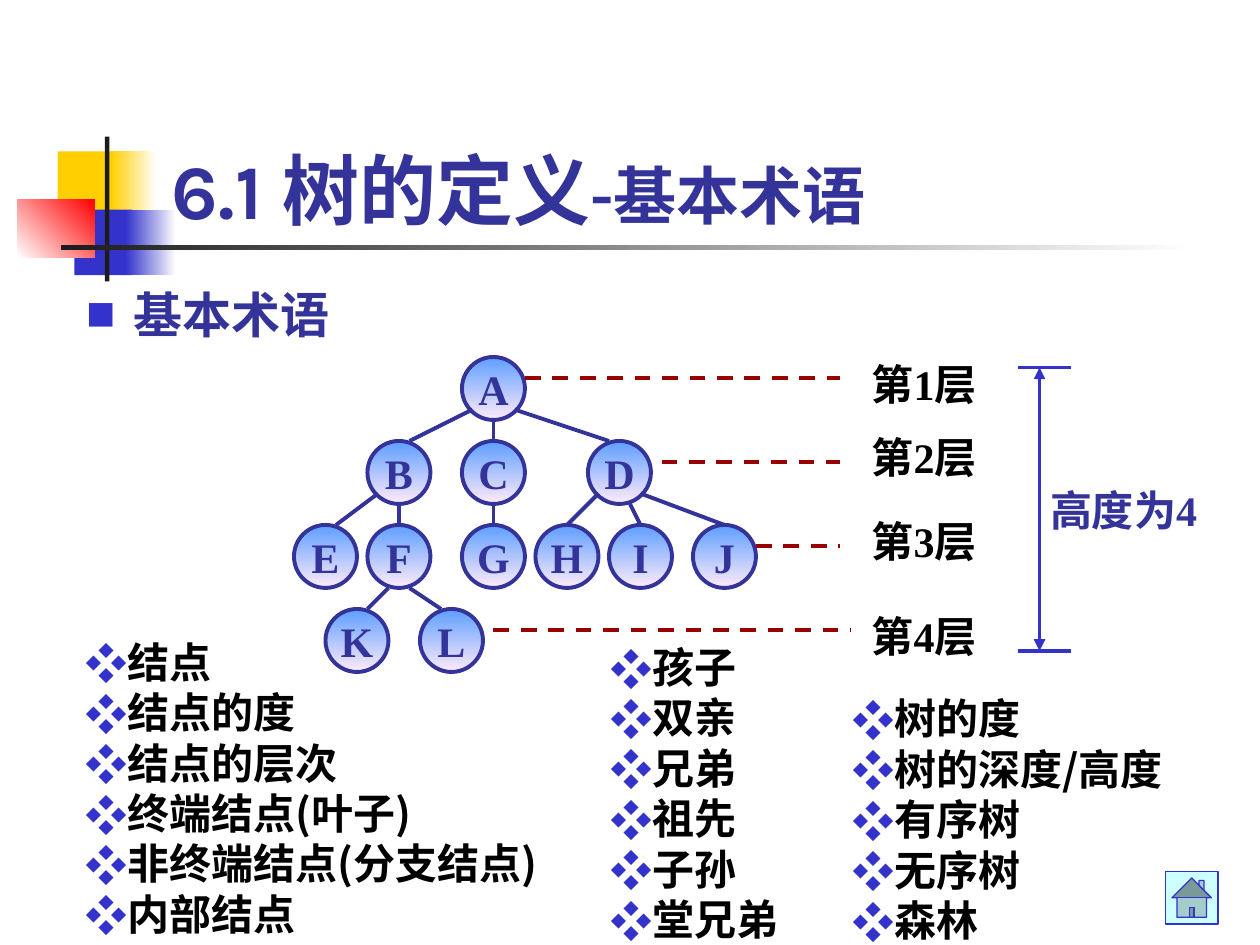
from lxml import etree
from pptx import Presentation
from pptx.dml.color import RGBColor
from pptx.enum.dml import MSO_LINE
from pptx.enum.shapes import MSO_CONNECTOR, MSO_SHAPE
from pptx.enum.text import MSO_ANCHOR, MSO_AUTO_SIZE, PP_ALIGN
from pptx.oxml.ns import qn
from pptx.util import Pt

RECT, OVAL, HOME = MSO_SHAPE.RECTANGLE, MSO_SHAPE.OVAL, MSO_SHAPE.ACTION_BUTTON_HOME
STRAIGHT, DASH = MSO_CONNECTOR.STRAIGHT, MSO_LINE.DASH
TOP, MIDDLE, BOTTOM = MSO_ANCHOR.TOP, MSO_ANCHOR.MIDDLE, MSO_ANCHOR.BOTTOM
LEFT, CENTER = PP_ALIGN.LEFT, PP_ALIGN.CENTER
NO_FIT = MSO_AUTO_SIZE.NONE

COLORS = {
    "white": "FFFFFF", "black": "000000", "ink": "1C1C1C", "navy": "333399",
    "blue": "3333CC", "yellow": "FFCF01", "red": "FF0000", "lead": "990000",
    "sky": "5E9EFF", "blush": "FFEBFA", "ice": "CCFFFF",
}
TITLE_FONT, LABEL_FONT, LIST_FONT = "Karla", "Times New Roman", "Noto Sans CJK SC"

NODE_SIZE = 36
NODES = {
    "A": (96, 0), "B": (42, 48), "C": (96, 48), "D": (168, 48),
    "E": (0, 96), "F": (42, 96), "G": (96, 96), "H": (138, 96),
    "I": (180, 96), "J": (228, 96), "K": (18, 144), "L": (72, 144),
}
EDGES = [
    (102, 30, 66, 48), (114, 36, 114, 48), (126, 30, 180, 48),
    (48, 78, 24, 96), (60, 84, 60, 96), (114, 84, 114, 96),
    (174, 78, 156, 96), (192, 84, 198, 96), (198, 78, 246, 96),
    (54, 132, 42, 144), (66, 132, 84, 144),
]
LEVELS = [(18, 198, 0), (96, 198, 42), (150, 198, 90), (0, 204, 144)]
TERMS = [
    ((42, 372, 264, 156), ["结点", "结点的度", "结点的层次", "终端结点(叶子)",
                           "非终端结点(分支结点)", "内部结点"]),
    ((342, 366, 90, 174), ["孩子", "双亲", "兄弟", "祖先", "子孙", "堂兄弟"]),
    ((480, 396, 186, 144), ["树的度", "树的深度/高度", "有序树", "无序树", "森林"]),
]


def color(name):
    return RGBColor.from_string(COLORS[name])


def add_shape(page, kind, box, fill, angle=0, line=None, width=0):
    shape = page.shapes.add_shape(kind, *map(Pt, box))
    shape.shadow.inherit = False
    if isinstance(fill, tuple):
        shape.fill.gradient()
        shape.fill.gradient_angle = angle
        for stop, name in zip(shape.fill.gradient_stops, fill):
            stop.color.rgb = color(name)
    else:
        shape.fill.solid()
        shape.fill.fore_color.rgb = color(fill)
    if line:
        shape.line.color.rgb = color(line)
        shape.line.width = Pt(width)
    else:
        shape.line.fill.background()
    return shape


def add_line(page, ends, name, dash=None, arrows=False):
    line = page.shapes.add_connector(STRAIGHT, *map(Pt, ends))
    line.line.color.rgb = color(name)
    line.line.width = Pt(2.25)
    if dash:
        line.line.dash_style = dash
    if arrows:
        for tag in ("a:headEnd", "a:tailEnd"):
            etree.SubElement(line.line._get_or_add_ln(), qn(tag), type="triangle")
    etree.SubElement(line._element.spPr, qn("a:effectLst"))


def set_font(font, name, size, tint):
    font.name, font.size, font.bold = name, Pt(size), True
    font.color.rgb = color(tint)


def add_bullet(para, mark, indent=0, percent=100):
    props = para._p.get_or_add_pPr()
    props.set("marL", str(Pt(indent)))
    props.set("indent", str(-Pt(indent)))
    tint = etree.SubElement(props, qn("a:buClr"))
    etree.SubElement(tint, qn("a:srgbClr"), val=COLORS["blue"])
    etree.SubElement(props, qn("a:buSzPct"), val=str(percent * 1000))
    etree.SubElement(props, qn("a:buFont"), typeface=LIST_FONT)
    etree.SubElement(props, qn("a:buChar"), char=mark)


def write_lines(shape, lines, font, tint, align=CENTER, mark=None):
    frame = shape.text_frame
    frame.word_wrap = False
    frame.vertical_anchor = MIDDLE
    frame.text = "\n".join(lines)
    for para in frame.paragraphs:
        para.alignment = align
        if mark:
            add_bullet(para, mark)
        set_font(para.font, font, 24, tint)


def place(holder, box, anchor):
    holder.left, holder.top, holder.width, holder.height = map(Pt, box)
    frame = holder.text_frame
    frame.auto_size = NO_FIT
    frame.vertical_anchor = anchor
    return frame.paragraphs[0]


def draw_emblem(page, left, top):
    parts = [
        ((23, 8.5, 34.5, 37.5), "yellow", 0),
        ((53.5, 8.5, 26, 37.5), ("yellow", "white"), 0),
        ((32.5, 41.75, 33, 37.5), "blue", 0),
        ((62, 41.75, 28.5, 37.5), ("blue", "white"), 0),
        ((0, 36, 44.25, 33.25), ("white", "red"), 45),
        ((50, 0, 2.5, 82.75), "ink", 0),
        ((25, 62.25, 648, 2.5), ("ink", "white"), 0),
    ]
    for (x, y, width, height), fill, angle in parts:
        add_shape(page, RECT, (left + x, top + y, width, height), fill, angle)


def write_title(page, box):
    para = place(page.shapes.title, box, BOTTOM)
    para.alignment = LEFT
    for words, size in (("6.1 树的定义", 44), ("-基本术语", 36)):
        span = para.add_run()
        span.text = words
        set_font(span.font, TITLE_FONT, size, "navy")


def write_body(page, box):
    para = place(page.placeholders[1], box, TOP)
    para.text = "基本术语"
    para.space_before = Pt(0)
    add_bullet(para, "■", 27, 60)
    set_font(para.font, TITLE_FONT, 28, "navy")


def draw_tree(page, left, top):
    for letter, (x, y) in NODES.items():
        node = add_shape(page, OVAL, (left + x, top + y, NODE_SIZE, NODE_SIZE),
                         ("sky", "blush"), 270, "navy", 2.25)
        write_lines(node, [letter], LABEL_FONT, "navy")
    for x1, y1, x2, y2 in EDGES:
        add_line(page, (left + x1, top + y1, left + x2, top + y2), "navy")


def draw_levels(page, left, top):
    for level, (start, end, label_top) in enumerate(LEVELS):
        y = top + 18 + 48 * level
        add_line(page, (left + start, y, left + end, y), "lead", DASH)
        label = add_shape(page, RECT, (left + 216, top + label_top, 60, 42), "white")
        write_lines(label, [f"第{level + 1}层"], LABEL_FONT, "black")


def draw_height(page, left, top, width, height):
    for y in (top, top + height):
        add_line(page, (left, y, left + width, y), "blue")
    add_line(page, (left + 12, top, left + 12, top + height), "blue", arrows=True)
    label = add_shape(page, RECT, (left + width, top + 60, 60, 42), "white")
    write_lines(label, ["高度为4"], LABEL_FONT, "navy")


def draw_terms(page, box, terms):
    panel = add_shape(page, RECT, box, "white")
    write_lines(panel, terms, LIST_FONT, "black", LEFT, "❖")


def main():
    deck = Presentation()
    deck.slide_width, deck.slide_height = Pt(720), Pt(540)
    page = deck.slides.add_slide(deck.slide_layouts[1])
    draw_emblem(page, 10, 78)
    write_title(page, (91, 48, 613, 90))
    write_body(page, (42, 159, 678, 369))
    for box, terms in TERMS:
        draw_terms(page, box, terms)
    draw_tree(page, 168, 204)
    draw_levels(page, 282, 198)
    draw_height(page, 582, 210, 30, 162)
    add_shape(page, HOME, (666, 498, 30, 30), "ice", line="blue", width=0.75)
    deck.save("out.pptx")


if __name__ == "__main__":
    main()
